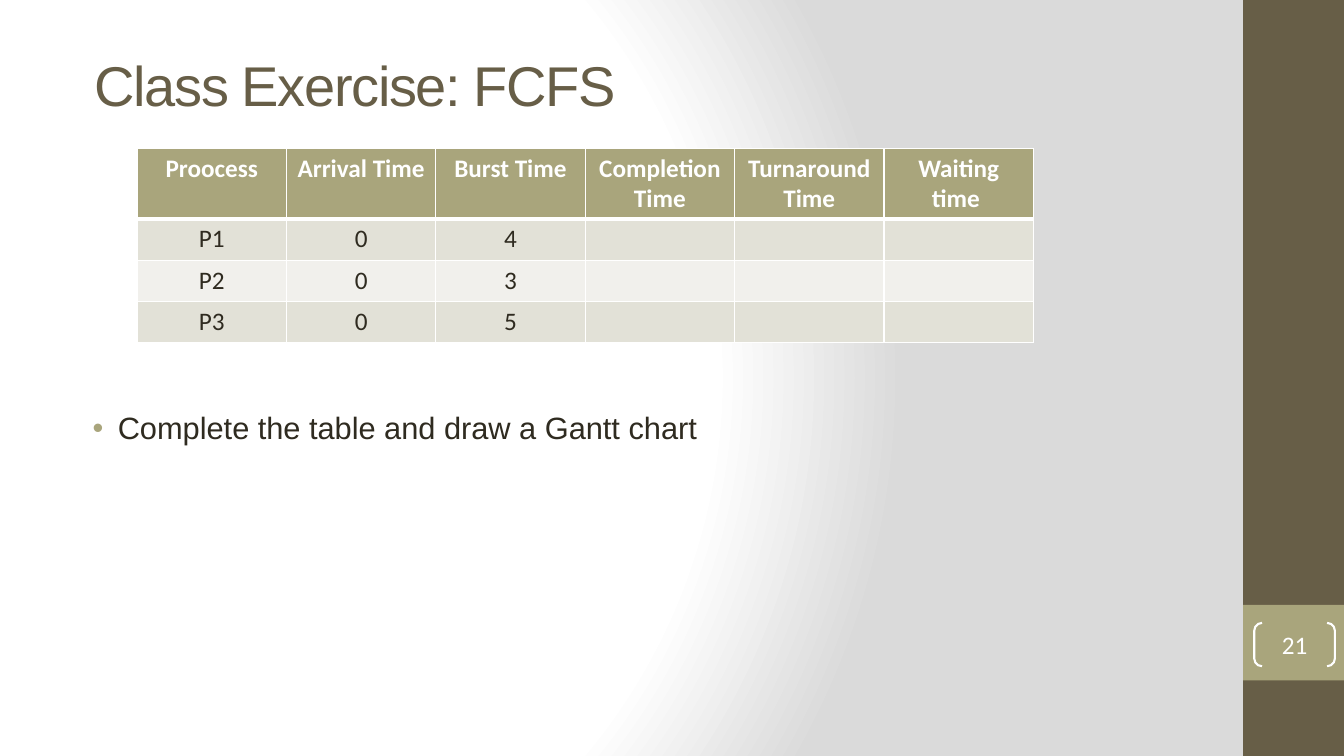
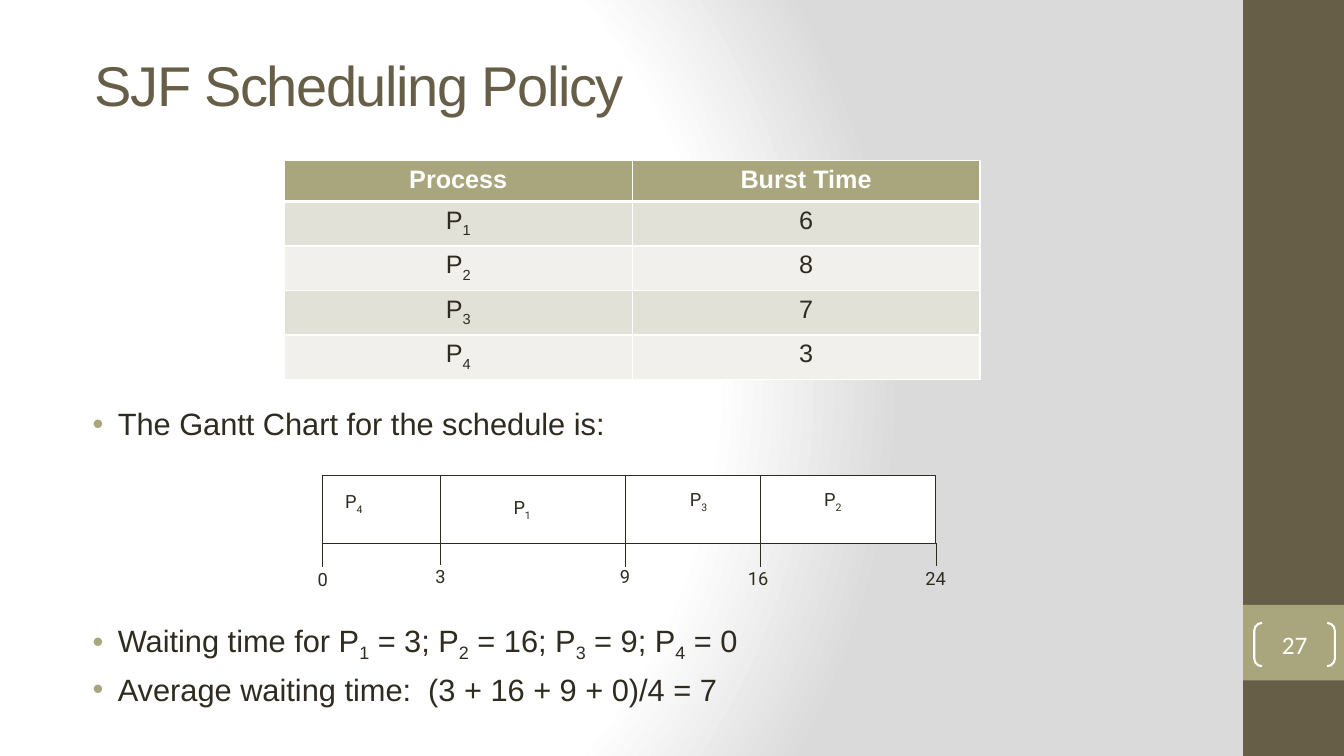
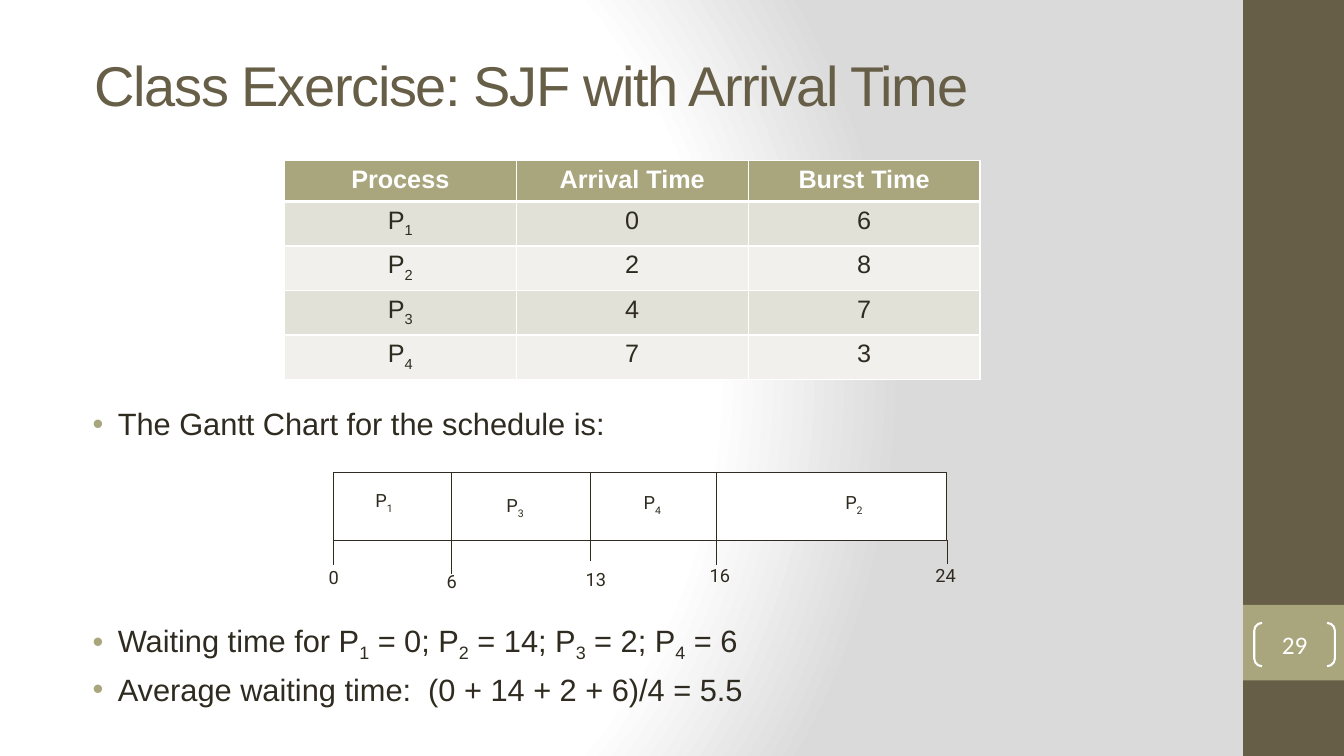
from lxml import etree
from pptx import Presentation
from pptx.dml.color import RGBColor
from pptx.enum.shapes import MSO_CONNECTOR, MSO_SHAPE
from pptx.enum.text import MSO_ANCHOR, PP_ALIGN
from pptx.oxml import parse_xml
from pptx.oxml.ns import nsdecls, qn
from pptx.util import Inches, Pt

SLIDE_W, SLIDE_H = 13.33, 7.5
BAND_W = 1.0
BAND_X = SLIDE_W - BAND_W
ROW_H = 0.41
BAR_W, BAR_H = 6.08, 0.67
LABEL_W, LABEL_H = 0.4, 0.32

COLORS = {
    "white": "FFFFFF",
    "shade": "DADADA",
    "brown": "675E47",
    "olive": "A9A57C",
    "ink": "2F2B20",
    "row_dark": "E2E1D7",
    "row_light": "F1F0EC",
}
FORMATS = {
    "title": {"size": Pt(40), "name": "Arial", "color": "brown"},
    "number": {"size": Pt(18), "name": "Calibri", "color": "white"},
    "bullet": {"size": Pt(22), "name": "Arial", "color": "ink"},
    "gantt": {"size": Pt(13), "name": "Roboto", "color": "ink"},
}


def rgb(key):
    return RGBColor.from_string(COLORS[key])


def box(left, top, width, height):
    return [Inches(round(v, 2)) for v in (left, top, width, height)]


# Text: an underscore makes the next character a subscript
def write(paragraph, text, style, align=PP_ALIGN.LEFT):
    paragraph.alignment = align
    first, *rest = text.split("_")
    pieces = [(first, False)]
    for piece in rest:
        pieces += [(piece[0], True), (piece[1:], False)]
    for piece, lowered in pieces:
        if not piece:
            continue
        run = paragraph.add_run()
        run.text = piece
        for key, value in style.items():
            if key == "color":
                run.font.color.rgb = rgb(value)
            else:
                setattr(run.font, key, value)
        if lowered:
            run._r.get_or_add_rPr().set("baseline", "-25000")


def add_block(slide, preset, place, fill=None, line=None, weight=0.75):
    block = slide.shapes.add_shape(preset, *box(*place))
    block.shadow.inherit = False
    if fill:
        block.fill.solid()
        block.fill.fore_color.rgb = rgb(fill)
    else:
        block.fill.background()
    if line:
        block.line.color.rgb = rgb(line)
        block.line.width = Pt(weight)
    else:
        block.line.fill.background()
    return block


def add_line(slide, x, top, bottom):
    ends = [Inches(v) for v in (x, top, x, bottom)]
    line = slide.shapes.add_connector(MSO_CONNECTOR.STRAIGHT, *ends)
    line.line.color.rgb = rgb("ink")
    line.line.width = Pt(0.75)
    etree.SubElement(line.element.spPr, qn("a:effectLst"))


# Shared look: radial background and side bands
def style_background(master):
    master.background.fill.gradient()
    gradient = master.element.find(".//" + qn("a:gradFill"))
    stops = "".join(
        f'<a:gs pos="{share * 1000}"><a:srgbClr val="{COLORS[key]}"/></a:gs>'
        for share, key in ((0, "white"), (75, "white"), (100, "shade")))
    gradient.getparent().replace(gradient, parse_xml(
        f'<a:gradFill {nsdecls("a")} rotWithShape="1"><a:gsLst>{stops}</a:gsLst>'
        '<a:path path="circle"><a:fillToRect l="20000" t="50000" r="100000" b="50000"/>'
        '</a:path></a:gradFill>'))


def add_bands(slide, layout):
    for top, height, color in ((0, SLIDE_H, "brown"), (6, 0.75, "olive")):
        band = add_block(slide, MSO_SHAPE.RECTANGLE,
                         (BAND_X, top, BAND_W, height), color)
        layout.element.cSld.spTree.append(band.element)


def add_slide(prs, layout, title, number):
    slide = prs.slides.add_slide(layout)
    heading = slide.shapes.title
    heading.left, heading.top, heading.width, heading.height = box(0.84, 0.61, 10.91, 0.45)
    heading.text_frame.vertical_anchor = MSO_ANCHOR.MIDDLE
    write(heading.text_frame.paragraphs[0], title, FORMATS["title"])
    for run in heading.text_frame.paragraphs[0].runs:
        run._r.get_or_add_rPr().set("spc", "-100")

    badge = add_block(slide, MSO_SHAPE.DOUBLE_BRACKET,
                      (BAND_X + 0.11, 6.18, 0.8, 0.43), line="white", weight=1.5)
    badge.adjustments[0] = 0.18
    frame = badge.text_frame
    for side in ("left", "top", "right", "bottom"):
        setattr(frame, f"margin_{side}", 0)
    frame.vertical_anchor = MSO_ANCHOR.MIDDLE
    write(frame.paragraphs[0], number, FORMATS["number"], PP_ALIGN.CENTER)
    return slide


def add_bullets(slide, top, bullets):
    """Each bullet is (space before in points, text)."""
    body = slide.shapes.add_textbox(*box(0.69, top, 11.41, SLIDE_H - top))
    frame = body.text_frame
    frame.word_wrap = True
    for i, (gap, text) in enumerate(bullets):
        paragraph = frame.add_paragraph() if i else frame.paragraphs[0]
        paragraph.space_before = Pt(gap)
        props = paragraph._p.get_or_add_pPr()
        props.set("marL", str(Inches(0.38)))
        props.set("indent", str(Inches(-0.25)))
        color = etree.SubElement(props, qn("a:buClr"))
        etree.SubElement(color, qn("a:srgbClr"), val=COLORS["olive"])
        etree.SubElement(props, qn("a:buFont"), typeface="Arial")
        etree.SubElement(props, qn("a:buChar"), char="•")
        write(paragraph, text, FORMATS["bullet"])


# Tables
def border(cell, bottom):
    props = cell._tc.get_or_add_tcPr()
    for i, (side, width) in enumerate((("L", 1), ("R", 1), ("T", 1), ("B", bottom))):
        props.insert(i, parse_xml(
            f'<a:ln{side} {nsdecls("a")} w="{Pt(width)}"><a:solidFill>'
            f'<a:srgbClr val="{COLORS["white"]}"/></a:solidFill></a:ln{side}>'))


def add_process_table(slide, left, top, width, font, rows, header_h=ROW_H):
    columns = len(rows[0])
    height = header_h + ROW_H * (len(rows) - 1)
    table = slide.shapes.add_table(len(rows), columns,
                                   *box(left, top, width, height)).table
    for column in table.columns:
        column.width = Inches(width / columns)
    for r, values in enumerate(rows):
        header = r == 0
        table.rows[r].height = Inches(header_h if header else ROW_H)
        fill = "olive" if header else ("row_light", "row_dark")[r % 2]
        style = {"size": Pt(18), "name": font, "bold": header,
                 "color": "white" if header else "ink"}
        for c, value in enumerate(values):
            cell = table.cell(r, c)
            cell.fill.solid()
            cell.fill.fore_color.rgb = rgb(fill)
            border(cell, 3 if header else 1)
            write(cell.text_frame.paragraphs[0], value, style, PP_ALIGN.CENTER)


# Gantt chart
def add_gantt_label(slide, text, center, top):
    label = slide.shapes.add_textbox(*box(center - LABEL_W / 2, top, LABEL_W, LABEL_H))
    label.text_frame.word_wrap = False
    label.text_frame.vertical_anchor = MSO_ANCHOR.MIDDLE
    write(label.text_frame.paragraphs[0], text, FORMATS["gantt"], PP_ALIGN.CENTER)


def add_gantt(slide, left, top, ticks, labels):
    """ticks: (x, foot of the tick); labels: (text, centre, top)."""
    bottom = round(top + BAR_H, 2)
    add_block(slide, MSO_SHAPE.RECTANGLE, (left, top, BAR_W, BAR_H), "white", "ink")
    for x, foot in ticks:
        add_line(slide, x, bottom, foot)
    for x, _ in ticks[1:-1]:
        add_line(slide, x, top, bottom)
    for text, center, label_top in labels:
        add_gantt_label(slide, text, center, label_top)


def add_sjf_slide(prs, layout, title, number, rows, gantt, waiting, average):
    slide = add_slide(prs, layout, title, number)
    add_bullets(slide, 3.97, [(0, "The Gantt Chart for the schedule is:"),
                              (128, waiting), (5, average)])
    add_process_table(slide, 2.82, 1.59, 6.9, "Arial", rows)
    add_gantt(slide, *gantt)


def main():
    prs = Presentation()
    prs.slide_width, prs.slide_height = Inches(SLIDE_W), Inches(SLIDE_H)
    layout = prs.slide_layouts[5]
    style_background(prs.slide_master)

    # First come, first served exercise
    fcfs = add_slide(prs, layout, "Class Exercise: FCFS", "21")
    add_bands(fcfs, layout)
    add_bullets(fcfs, 4.01, [(0, "Complete the table and draw a Gantt chart")])
    add_process_table(fcfs, 1.36, 1.47, 8.89, "Calibri", [
        ("Proocess", "Arrival Time", "Burst Time",
         "Completion Time", "Turnaround Time", "Waiting time "),
        ("P1", "0", "4", "", "", ""),
        ("P2", "0", "3", "", "", ""),
        ("P3", "0", "5", "", "", ""),
    ], header_h=0.7)

    # Shortest job first
    add_sjf_slide(
        prs, layout, "SJF Scheduling Policy", "27",
        [("Process", "Burst Time"),
         ("P_1", "6"), ("P_2", "8"), ("P_3", "7"), ("P_4", "3")],
        (3.2, 4.72,
         [(3.2, 5.63), (4.37, 5.61), (6.2, 5.63), (7.54, 5.63), (9.29, 5.62)],
         [("P_4", 3.51, 4.83), ("P_1", 5.18, 4.89),
          ("P_3", 6.93, 4.81), ("P_2", 8.26, 4.81),
          ("0", 3.2, 5.59), ("3", 4.37, 5.56), ("9", 6.2, 5.56),
          ("16", 7.52, 5.58), ("24", 9.28, 5.58)]),
        "Waiting time for P_1 = 3; P_2 = 16; P_3 = 9; P_4 = 0",
        "Average waiting time:  (3 + 16 + 9 + 0)/4 = 7")

    # Shortest job first with arrival times
    add_sjf_slide(
        prs, layout, "Class Exercise: SJF with Arrival Time", "29",
        [("Process", "Arrival Time", "Burst Time"),
         ("P_1", "0", "6"), ("P_2", "2", "8"), ("P_3", "4", "7"), ("P_4", "7", "3")],
        (3.31, 4.69,
         [(3.31, 5.61), (4.48, 5.69), (5.86, 5.57), (7.11, 5.61), (9.4, 5.6)],
         [("P_1", 3.81, 4.82), ("P_3", 5.11, 4.87),
          ("P_4", 6.47, 4.84), ("P_2", 8.47, 4.84),
          ("0", 3.31, 5.57), ("6", 4.48, 5.61), ("13", 5.91, 5.59),
          ("16", 7.14, 5.55), ("24", 9.38, 5.55)]),
        "Waiting time for P_1 = 0; P_2 = 14; P_3 = 2; P_4 = 6",
        "Average waiting time:  (0 + 14 + 2 + 6)/4 = 5.5")

    prs.save("out.pptx")


if __name__ == "__main__":
    main()
